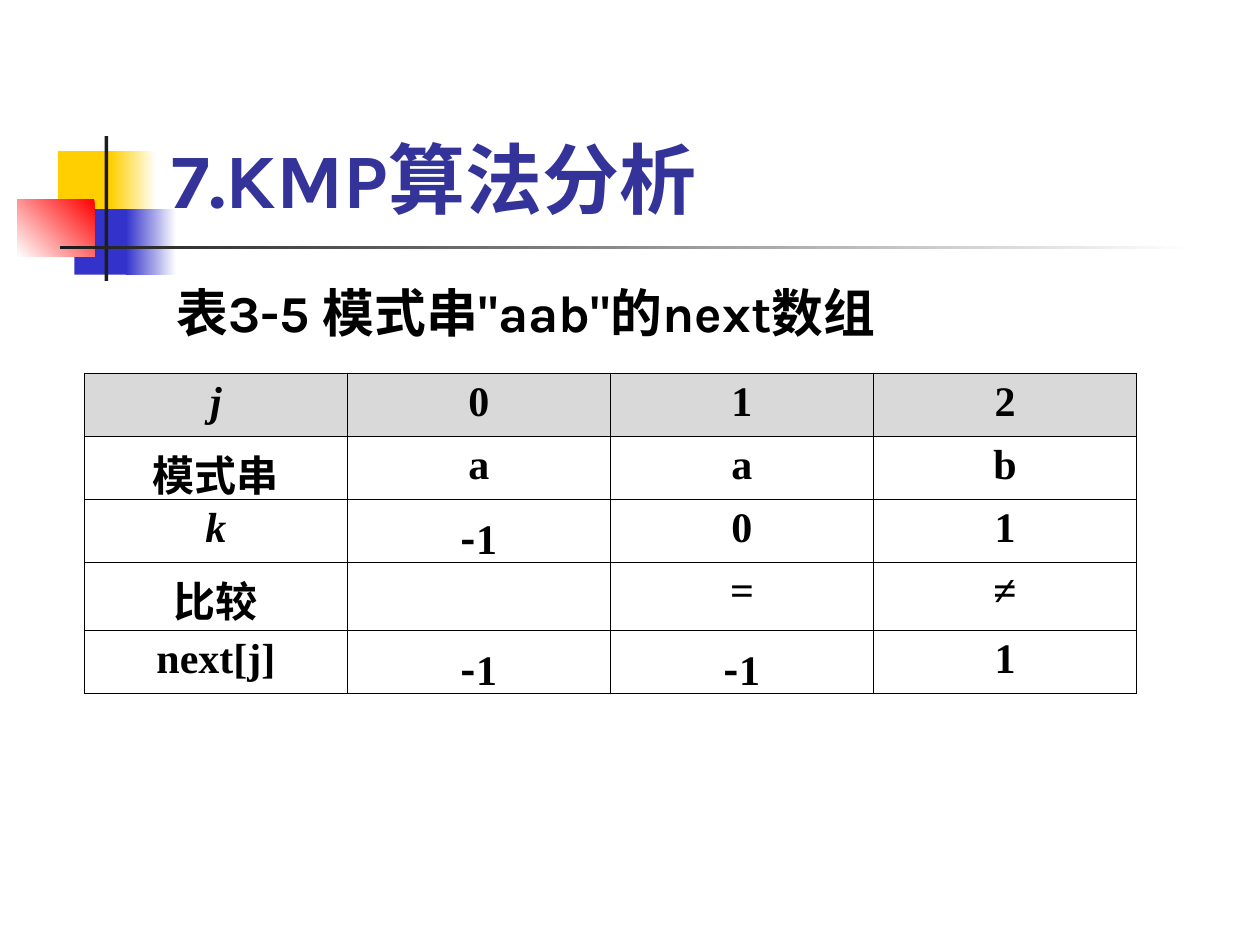
"""Builds the slide with the next array of the pattern string "aab"."""
from lxml import etree
from pptx import Presentation
from pptx.dml.color import RGBColor
from pptx.enum.shapes import MSO_SHAPE
from pptx.enum.text import MSO_ANCHOR, PP_ALIGN
from pptx.oxml.ns import qn
from pptx.util import Inches, Pt

RECTANGLE = MSO_SHAPE.RECTANGLE
TOP, BOTTOM = MSO_ANCHOR.TOP, MSO_ANCHOR.BOTTOM
CENTER = PP_ALIGN.CENTER

HEADING_FONT, TABLE_FONT, CHINESE_FONT = "Karla", "Times New Roman", "Noto Sans CJK SC"
WHITE, BLACK, GREY, DARK = "FFFFFF", "000000", "D9D9D9", "1C1C1C"
YELLOW, BLUE, RED, TITLE_BLUE = "FFCF01", "3333CC", "FF0000", "333399"

DECORATIONS = [
    ((0.46, 1.2, 0.48, 0.52), [YELLOW], 0),
    ((0.88, 1.2, 0.36, 0.52), [WHITE, YELLOW], 180),
    ((0.59, 1.66, 0.46, 0.52), [BLUE], 0),
    ((1, 1.66, 0.4, 0.52), [WHITE, BLUE], 180),
    ((0.14, 1.58, 0.61, 0.46), [RED, WHITE], 225),
    ((0.83, 1.08, 0.03, 1.15), [DARK], 0),
    ((0.48, 1.95, 9, 0.03), [WHITE, DARK], 180),
]
HEADINGS = [
    ((1.26, 0.91, 8.52, 0.92), "7.KMP算法分析", 44, TITLE_BLUE, BOTTOM),
    ((1.3, 2.18, 6.77, 0.71), '表3-5 模式串"aab"的next数组', 29.6, BLACK, TOP),
]
ROWS = [
    ["j", "0", "1", "2"],
    ["模式串", "a", "a", "b"],
    ["k", "-1", "0", "1"],
    ["比较", "", "=", "≠"],
    ["next[j]", "-1", "-1", "1"],
]
ITALIC_LABELS = ("j", "k")
TABLE_LEFT, TABLE_TOP, TABLE_WIDTH = 0.67, 2.96, 8.35
ROW_HEIGHTS = [0.5, 0.5, 0.5, 0.54, 0.5]
TABLE_SIZE, BORDER_WIDTH = 24, 0.45


def color(value):
    return RGBColor.from_string(value)


def style_font(span, name, size, value):
    span.font.name, span.font.size, span.font.bold = name, Pt(size), True
    span.font.color.rgb = color(value)
    east_asian = etree.Element(qn("a:ea"), typeface=CHINESE_FONT)
    span.font._element.find(qn("a:latin")).addnext(east_asian)


def add_decoration(page, place, colors, angle):
    shape = page.shapes.add_shape(RECTANGLE, *map(Inches, place))
    shape.shadow.inherit = False
    shape.line.fill.background()
    if len(colors) == 1:
        shape.fill.solid()
        shape.fill.fore_color.rgb = color(colors[0])
        return
    shape.fill.gradient()
    shape.fill.gradient_angle = angle
    for stop, value, position in zip(shape.fill.gradient_stops, colors, (0, 1)):
        stop.color.rgb = color(value)
        stop.position = position


def add_heading(page, place, text, size, value, anchor):
    frame = page.shapes.add_textbox(*map(Inches, place)).text_frame
    frame.word_wrap = True
    frame.vertical_anchor = anchor
    frame.text = text
    style_font(frame.paragraphs[0].runs[0], HEADING_FONT, size, value)


def add_borders(cell):
    properties = cell._tc.get_or_add_tcPr()
    for index, side in enumerate(("lnL", "lnR", "lnT", "lnB")):
        line = etree.Element(qn(f"a:{side}"), w=str(Pt(BORDER_WIDTH)))
        fill = etree.SubElement(line, qn("a:solidFill"))
        etree.SubElement(fill, qn("a:srgbClr"), val=BLACK)
        properties.insert(index, line)


def fill_cell(cell, text, background):
    cell.fill.solid()
    cell.fill.fore_color.rgb = color(background)
    add_borders(cell)
    para = cell.text_frame.paragraphs[0]
    para.alignment = CENTER
    para.font.size = Pt(TABLE_SIZE)
    for part in ("-", text[1:]) if text.startswith("-") else filter(None, [text]):
        span = para.add_run()
        span.text = part
        style_font(span, CHINESE_FONT if part == "-" else TABLE_FONT, TABLE_SIZE, BLACK)
        span.font.italic = part in ITALIC_LABELS


def add_next_table(page):
    place = (TABLE_LEFT, TABLE_TOP, TABLE_WIDTH, sum(ROW_HEIGHTS))
    table = page.shapes.add_table(len(ROWS), len(ROWS[0]), *map(Inches, place)).table
    for row, height, texts in zip(table.rows, ROW_HEIGHTS, ROWS):
        row.height = Inches(height)
        for cell, text in zip(row.cells, texts):
            fill_cell(cell, text, GREY if texts is ROWS[0] else WHITE)


def main():
    deck = Presentation()
    deck.slide_width, deck.slide_height = Inches(10), Inches(7.5)
    page = deck.slides.add_slide(deck.slide_layouts[6])
    for decoration in DECORATIONS:
        add_decoration(page, *decoration)
    for heading in HEADINGS:
        add_heading(page, *heading)
    add_next_table(page)
    deck.save("out.pptx")


if __name__ == "__main__":
    main()
